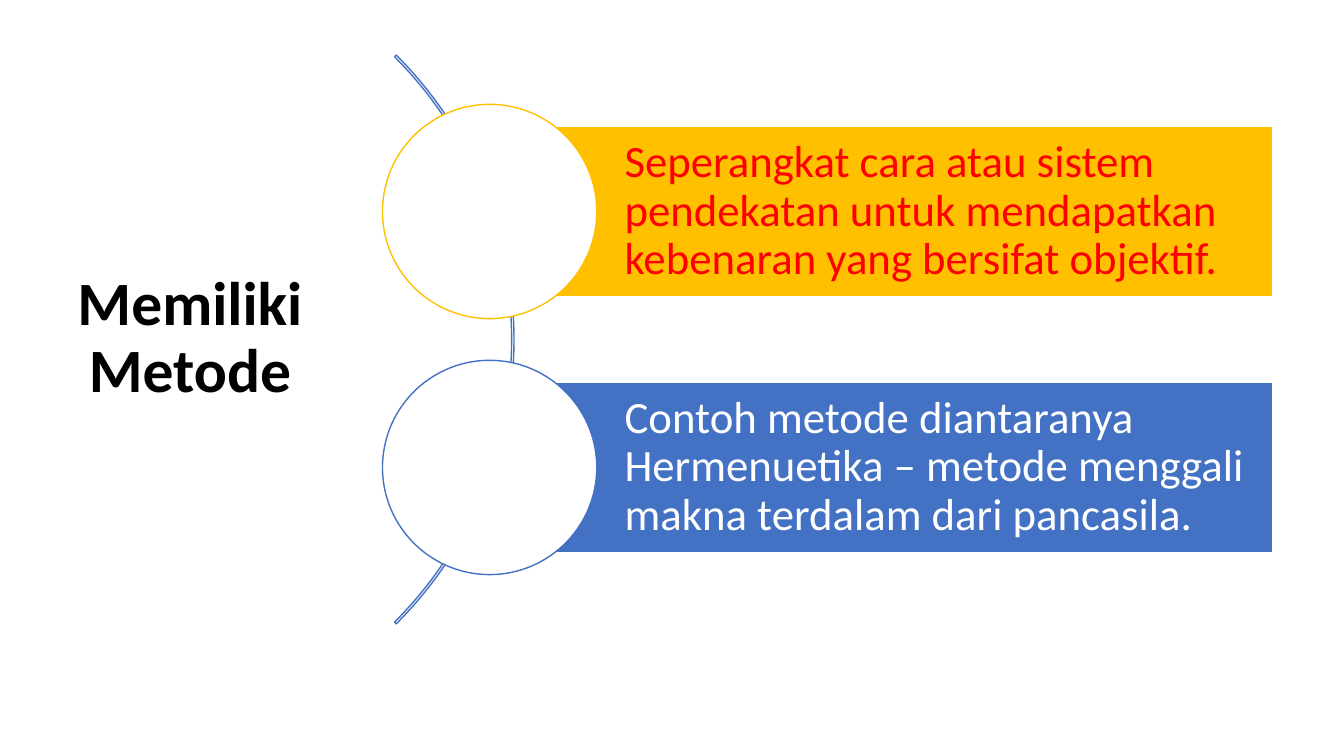
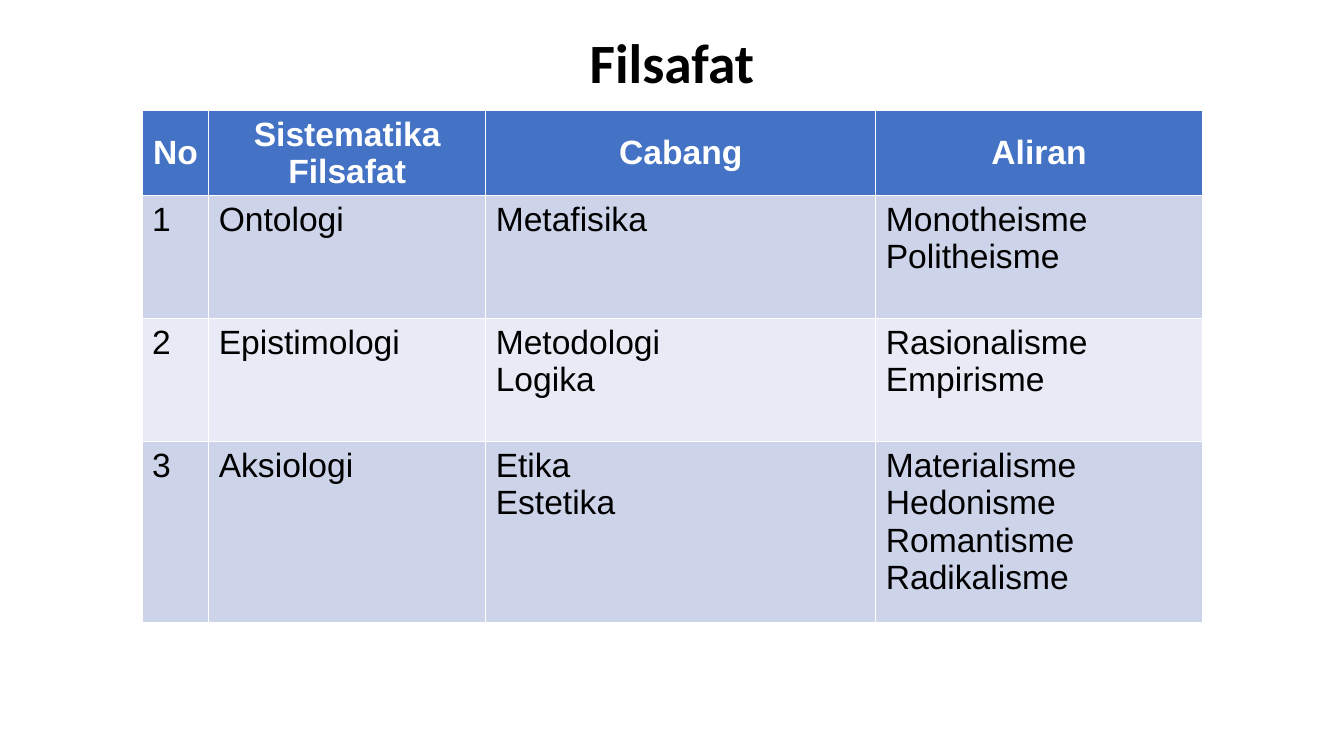
from pptx import Presentation
from pptx.dml.color import RGBColor
from pptx.enum import shapes, text
from pptx.util import Cm, Pt

BLACK = RGBColor(0x00, 0x00, 0x00)
WHITE = RGBColor(0xFF, 0xFF, 0xFF)
RED = RGBColor(0xFF, 0x00, 0x00)
GOLD = RGBColor(0xFF, 0xC0, 0x00)
BLUE = RGBColor(0x43, 0x71, 0xC3)
HEADER_BLUE = RGBColor(0x44, 0x72, 0xC4)
BAND_FILLS = (RGBColor(0xCD, 0xD4, 0xEA), RGBColor(0xE8, 0xEB, 0xF5))

HEADING_FONT = "Calibri"
TABLE_FONT = "Arial"

# Lengths of the method diagram in centimetres
BAR_LEFT, BAR_WIDTH, BAR_HEIGHT = 12.34, 19.74, 4.3
FIRST_BAR_MIDDLE, BAR_PITCH = 5.33, 6.45
CIRCLE_SIZE = 5.4
ARC_SIZE, ARC_CENTRE = 20.27, 2.82

METHODS = (
    ("Seperangkat cara atau sistem pendekatan untuk mendapatkan "
     "kebenaran yang bersifat objektif.", GOLD, RED),
    ("Contoh metode diantaranya Hermenuetika – metode menggali "
     "makna terdalam dari pancasila.", BLUE, WHITE),
)

COLUMN_WIDTHS = (1.68, 6.98, 9.83, 8.23)
ROW_HEIGHTS = (2.11, 3.1, 3.1, 4.55)
TABLE_ROWS = (
    ("No", "Sistematika Filsafat", "Cabang", "Aliran"),
    ("1", "Ontologi", "Metafisika", "Monotheisme\nPolitheisme"),
    ("2", "Epistimologi", "Metodologi\nLogika", "Rasionalisme\nEmpirisme"),
    ("3", "Aksiologi", "Etika\nEstetika",
     "Materialisme\nHedonisme\nRomantisme\nRadikalisme"),
)


def format_text(frame, font_name, size, color, bold=False,
                align=text.PP_ALIGN.LEFT, line_spacing=1.0):
    for para in frame.paragraphs:
        para.alignment = align
        para.line_spacing = line_spacing
        for span in para.runs:
            span.font.name = font_name
            span.font.size = Pt(size)
            span.font.bold = bold
            span.font.color.rgb = color


def add_titled_page(deck, title, left, top, width, height, size):
    page = deck.slides.add_slide(deck.slide_layouts[5])
    box = page.shapes.title
    box.left, box.top, box.width, box.height = map(Cm, (left, top, width, height))
    frame = box.text_frame
    frame.text = title
    frame.word_wrap = True
    frame.auto_size = text.MSO_AUTO_SIZE.NONE
    frame.vertical_anchor = text.MSO_ANCHOR.MIDDLE
    format_text(frame, HEADING_FONT, size, BLACK, True,
                text.PP_ALIGN.CENTER, 0.9)
    return page


def add_figure(page, kind, left, top, width, height, fill, line):
    """Add a preset shape in centimetres; a fill of None leaves it hollow."""
    figure = page.shapes.add_shape(kind, Cm(left), Cm(top), Cm(width), Cm(height))
    figure.shadow.inherit = False
    if fill is None:
        figure.fill.background()
    else:
        figure.fill.solid()
        figure.fill.fore_color.rgb = fill
    figure.line.color.rgb = line
    figure.line.width = Pt(1)
    return figure


def add_arc(page, middle):
    arc = add_figure(page, shapes.MSO_SHAPE.BLOCK_ARC,
                     ARC_CENTRE - ARC_SIZE / 2, middle - ARC_SIZE / 2,
                     ARC_SIZE, ARC_SIZE, None, BLUE)
    for index, value in enumerate((189, 27, 0.003)):
        arc.adjustments[index] = value


def add_method(page, middle, wording, color, text_color):
    """Add a text bar with a circle centred on its left edge."""
    bar = add_figure(page, shapes.MSO_SHAPE.RECTANGLE, BAR_LEFT,
                     middle - BAR_HEIGHT / 2, BAR_WIDTH, BAR_HEIGHT, color, WHITE)
    frame = bar.text_frame
    frame.text = wording
    frame.word_wrap = True
    frame.vertical_anchor = text.MSO_ANCHOR.MIDDLE
    frame.margin_left = Cm(3.4)
    frame.margin_top = frame.margin_right = frame.margin_bottom = Cm(0.23)
    format_text(frame, HEADING_FONT, 32, text_color, line_spacing=0.9)
    add_figure(page, shapes.MSO_SHAPE.OVAL, BAR_LEFT - CIRCLE_SIZE / 2,
               middle - CIRCLE_SIZE / 2, CIRCLE_SIZE, CIRCLE_SIZE, WHITE, color)


def add_philosophy_table(page, left, top):
    table = page.shapes.add_table(
        len(TABLE_ROWS), len(COLUMN_WIDTHS), Cm(left), Cm(top),
        Cm(sum(COLUMN_WIDTHS)), Cm(sum(ROW_HEIGHTS))).table
    for column, width in zip(table.columns, COLUMN_WIDTHS):
        column.width = Cm(width)
    for number, (row, height) in enumerate(zip(table.rows, ROW_HEIGHTS)):
        row.height = Cm(height)
        for cell, wording in zip(row.cells, TABLE_ROWS[number]):
            cell.text_frame.text = wording
            cell.fill.solid()
            if number == 0:
                cell.fill.fore_color.rgb = HEADER_BLUE
                cell.vertical_anchor = text.MSO_ANCHOR.MIDDLE
                format_text(cell.text_frame, TABLE_FONT, 24, WHITE, True,
                            text.PP_ALIGN.CENTER)
            else:
                cell.fill.fore_color.rgb = BAND_FILLS[(number - 1) % 2]
                format_text(cell.text_frame, TABLE_FONT, 24, BLACK)


def main():
    deck = Presentation()
    deck.slide_width, deck.slide_height = Cm(33.87), Cm(19.05)

    page = add_titled_page(deck, "Memiliki Metode", 0, 6.7, 9.58, 3.68, 44)
    add_arc(page, FIRST_BAR_MIDDLE + BAR_PITCH * (len(METHODS) - 1) / 2)
    for index, method in enumerate(METHODS):
        add_method(page, FIRST_BAR_MIDDLE + index * BAR_PITCH, *method)

    page = add_titled_page(deck, "Filsafat", 2.33, 0.81, 29.21, 1.68, 39.6)
    add_philosophy_table(page, 3.58, 2.79)

    deck.save("out.pptx")


if __name__ == "__main__":
    main()
